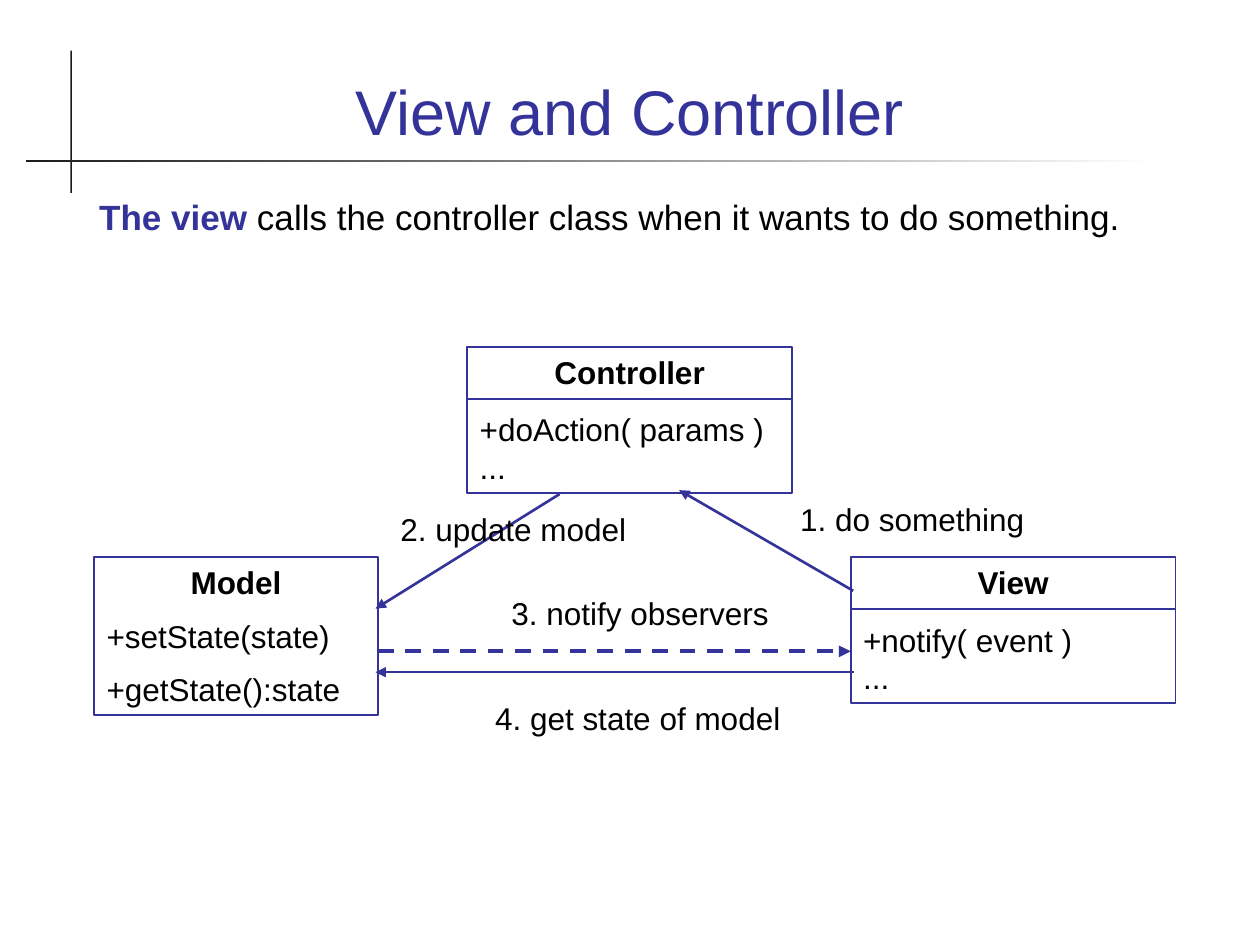
from dataclasses import dataclass

from lxml import etree
from pptx import Presentation
from pptx import util as u
from pptx.dml.color import RGBColor
from pptx.enum import dml, shapes, text
from pptx.oxml import ns


@dataclass(frozen=True)
class Theme:
    font: str = "Arial"
    accent: RGBColor = RGBColor(0x33, 0x33, 0x99)
    ink: RGBColor = RGBColor(0, 0, 0)
    rule: RGBColor = RGBColor(0x1C, 0x1C, 0x1C)
    paper: RGBColor = RGBColor(0xFF, 0xFF, 0xFF)
    title: int = 36
    lead: int = 20
    body: int = 18


THEME = Theme()
HEADER_HEIGHT = 1.05


def place(shape, left, top, width, height):
    shape.left, shape.top = u.Cm(left), u.Cm(top)
    shape.width, shape.height = u.Cm(width), u.Cm(height)


def setup_frame(shape, anchor=text.MSO_ANCHOR.TOP):
    frame = shape.text_frame
    frame.word_wrap = True
    frame.auto_size = text.MSO_AUTO_SIZE.NONE
    frame.vertical_anchor = anchor
    return frame


def write(paragraph, content, size=THEME.body, color=THEME.ink, bold=False,
          align=text.PP_ALIGN.LEFT, before=0):
    paragraph.alignment = align
    paragraph.space_before = u.Pt(before)
    run = paragraph.add_run()
    run.text = content
    run.font.name = THEME.font
    run.font.size = u.Pt(size)
    run.font.bold = bold
    run.font.color.rgb = color


def add_text_box(slide, left, top, width, height):
    return slide.shapes.add_textbox(u.Cm(left), u.Cm(top), u.Cm(width), u.Cm(height))


def add_label(slide, content, left, top, width):
    frame = setup_frame(add_text_box(slide, left, top, width, 1.02))
    write(frame.paragraphs[0], content)


def add_rectangle(slide, left, top, width, height):
    shape = slide.shapes.add_shape(
        shapes.MSO_SHAPE.RECTANGLE, u.Cm(left), u.Cm(top), u.Cm(width), u.Cm(height))
    shape.shadow.inherit = False
    return shape


def add_line(slide, start, end, width=1.0, dashed=False, arrow=False):
    line = slide.shapes.add_connector(
        shapes.MSO_CONNECTOR.STRAIGHT, *(u.Cm(value) for value in (*start, *end)))
    line.line.color.rgb = THEME.accent
    line.line.width = u.Pt(width)
    if dashed:
        line.line.dash_style = dml.MSO_LINE.DASH
    if arrow:
        outline = line.line._get_or_add_ln()
        etree.SubElement(outline, ns.qn("a:tailEnd"), type="triangle")
    etree.SubElement(line._element.spPr, ns.qn("a:effectLst"))


def add_class_box(slide, name, members, left, top, width, height, divided=True):
    box = add_rectangle(slide, left, top, width, height)
    box.fill.background()
    box.line.color.rgb = THEME.accent
    box.line.width = u.Pt(1)
    frame = setup_frame(box)
    write(frame.paragraphs[0], name, bold=True, align=text.PP_ALIGN.CENTER)
    for member, before in members:
        write(frame.add_paragraph(), member, before=before)
    if divided:
        divider = top + HEADER_HEIGHT
        add_line(slide, (left, divider), (left + width, divider))


def add_title_rules(slide):
    vertical = add_rectangle(slide, 1.42, 1.02, 0.03, 2.87)
    vertical.fill.solid()
    vertical.fill.fore_color.rgb = THEME.rule
    horizontal = add_rectangle(slide, 0.53, 3.23, 22.78, 0.03)
    horizontal.fill.gradient()
    horizontal.fill.gradient_angle = 0
    colors = (THEME.rule, THEME.paper)
    for position, (stop, color) in enumerate(zip(horizontal.fill.gradient_stops, colors)):
        stop.position = position
        stop.color.rgb = color
    for rule in (vertical, horizontal):
        rule.line.fill.background()


def add_heading(slide):
    title = slide.shapes.title
    place(title, 1.7, 0.71, 22, 2.41)
    frame = setup_frame(title, text.MSO_ANCHOR.BOTTOM)
    write(frame.paragraphs[0], "View and Controller", size=THEME.title,
          color=THEME.accent, align=text.PP_ALIGN.CENTER)

    frame = setup_frame(add_text_box(slide, 1.7, 3.81, 22, 2.34))
    frame.margin_left = u.Cm(0.3)
    paragraph = frame.paragraphs[0]
    write(paragraph, "The view", size=THEME.lead, color=THEME.accent, bold=True)
    write(paragraph, " calls the controller class when it wants to do something.",
          size=THEME.lead)


def add_diagram(slide):
    add_class_box(slide, "Model", [("+setState(state)", 9), ("+getState():state", 9)],
                  1.9, 11.23, 5.72, 3.18, divided=False)
    add_class_box(slide, "View", [("+notify( event )", 11.2), ("...", 0)],
                  17.15, 11.23, 6.55, 2.95)
    add_class_box(slide, "Controller", [("+doAction( params )", 11.2), ("...", 0)],
                  9.42, 6.99, 6.55, 2.95)

    add_line(slide, (17.2, 11.91), (13.69, 9.88), width=1.5, arrow=True)
    add_line(slide, (11.28, 9.96), (7.57, 12.27), width=1.5, arrow=True)
    add_line(slide, (7.62, 13.13), (17.15, 13.13), width=2.25, dashed=True, arrow=True)
    add_line(slide, (17.22, 13.55), (7.57, 13.55), width=1.5, arrow=True)

    add_label(slide, "1. do something", 15.88, 9.96, 5.28)
    add_label(slide, "2. update model", 7.82, 10.16, 5.28)
    add_label(slide, "3. notify observers", 10.06, 11.86, 6.05)
    add_label(slide, "4. get state of model", 9.73, 13.97, 6.45)


def main():
    presentation = Presentation()
    presentation.slide_width, presentation.slide_height = u.Cm(25.4), u.Cm(19.05)
    slide = presentation.slides.add_slide(presentation.slide_layouts[5])
    add_title_rules(slide)
    add_heading(slide)
    add_diagram(slide)
    presentation.save("out.pptx")


if __name__ == "__main__":
    main()
